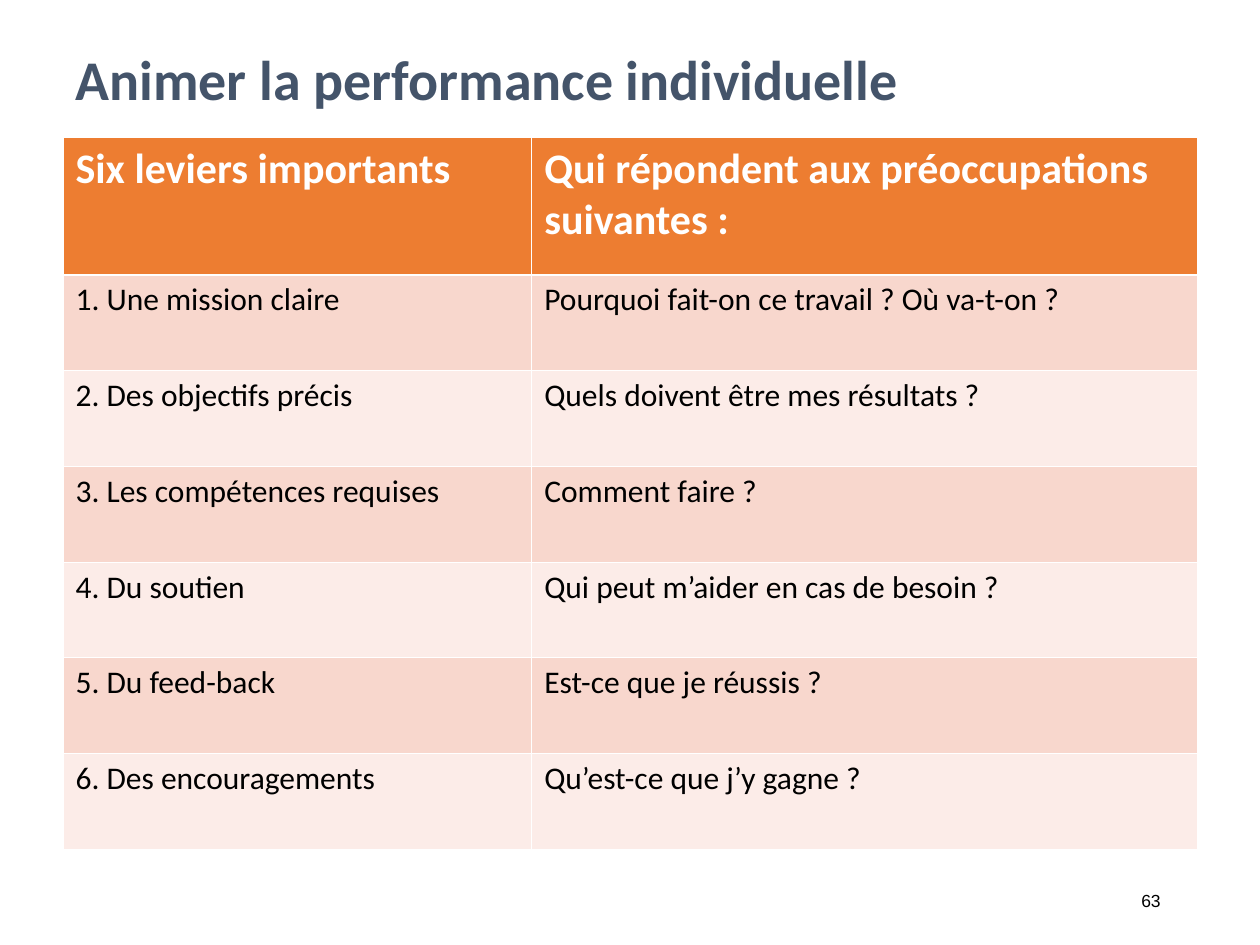
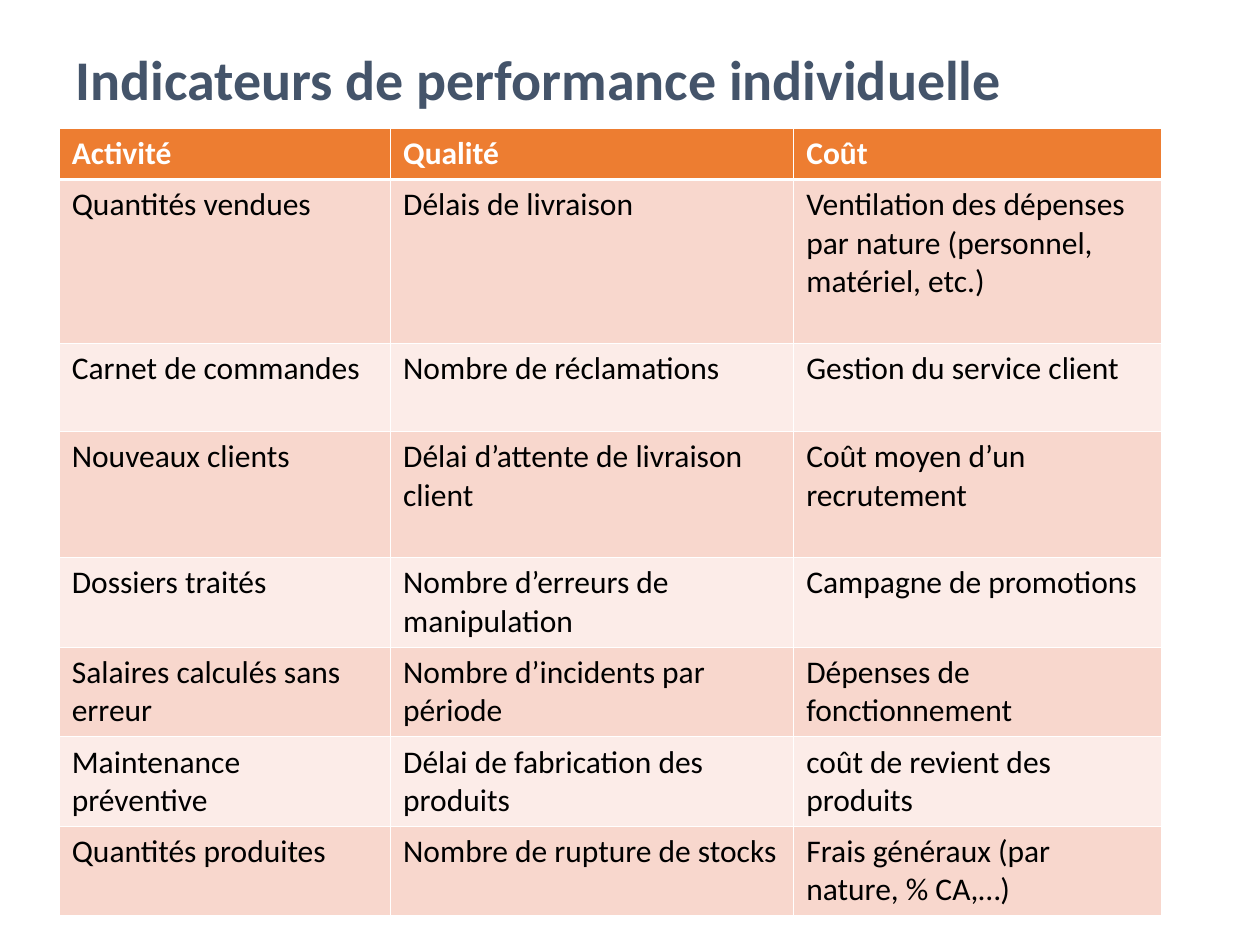
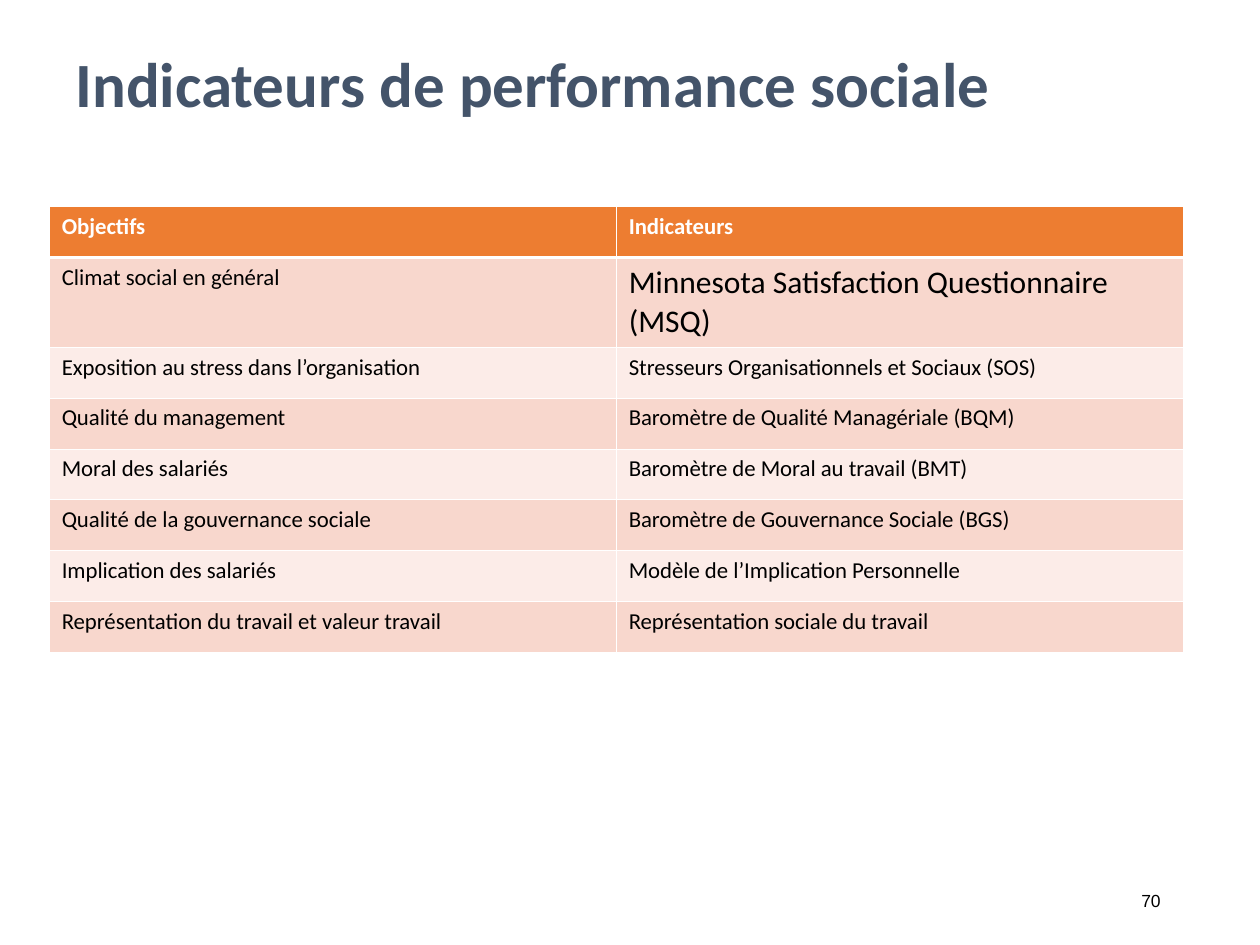
from dataclasses import dataclass

from lxml.etree import SubElement
from pptx import Presentation
from pptx.dml.color import RGBColor as Rgb
from pptx.enum.text import MSO_ANCHOR as Anchor, MSO_AUTO_SIZE as AutoSize, PP_ALIGN as Align
from pptx.oxml.ns import qn
from pptx.util import Inches, Pt


@dataclass(frozen=True)
class Theme:
    font: str = "Calibri"
    number_font: str = "Arial"
    title: str = "44546A"
    header: str = "ED7D31"
    bands: tuple = ("F8D7CD", "FCECE8")
    light: str = "FFFFFF"
    dark: str = "000000"
    number_size: int = 10
    body_size: int = 18
    rule: float = 0.45
    header_rule: float = 1.47


THEME = Theme()
SLIDE_SIZE = (10, 7.5)
TITLE_CORNER = (0.5, 0.3)
TITLE_WIDTH = 9
NUMBER_BOX = (7.06, 6.95, 2.25, 0.4)
TITLE_ONLY = 5

# "box" is left, top, width, height; "fixed_rows" gives the height of some rows,
# and the other rows share what is left of the table's height.
SLIDES = [
    dict(
        title="Animer la performance individuelle", title_size=32, title_height=0.72,
        number="63", box=(0.5, 1.09, 9, 5.65), columns=(3.72, 5.28), fixed_rows={0: 1.09},
        header_size=24, body_size=THEME.body_size,
        rows=[
            ("Six leviers importants", "Qui répondent aux préoccupations suivantes :"),
            ("1. Une mission claire", "Pourquoi fait-on ce travail ? Où va-t-on ?"),
            ("2. Des objectifs précis", "Quels doivent être mes résultats ?"),
            ("3. Les compétences requises", "Comment faire ?"),
            ("4. Du soutien", "Qui peut m’aider en cas de besoin ?"),
            ("5. Du feed-back", "Est-ce que je réussis ?"),
            ("6. Des encouragements", "Qu’est-ce que j’y gagne ?"),
        ],
    ),
    dict(
        title="Indicateurs de performance individuelle", title_size=32, title_height=0.95,
        box=(0.47, 1.02, 8.75, 6.24), columns=(2.63, 3.2, 2.92),
        fixed_rows={0: 0.4, 1: 1.3, 2: 0.7, 3: 1},
        header_size=18, body_size=THEME.body_size,
        rows=[
            ("Activité", "Qualité", "Coût"),
            ("Quantités vendues", "Délais de livraison",
             "Ventilation des dépenses par nature (personnel, matériel, etc.)"),
            ("Carnet de commandes", "Nombre de réclamations", "Gestion du service client"),
            ("Nouveaux clients", "Délai d’attente de livraison client",
             "Coût moyen d’un recrutement"),
            ("Dossiers traités", "Nombre d’erreurs de manipulation", "Campagne de promotions"),
            ("Salaires calculés sans erreur", "Nombre d’incidents par période",
             "Dépenses de fonctionnement"),
            ("Maintenance préventive", "Délai de fabrication des produits",
             "coût de revient des produits"),
            ("Quantités produites", "Nombre de rupture de stocks",
             "Frais généraux (par nature, % CA,…)"),
        ],
    ),
    dict(
        title="Indicateurs de performance sociale", title_size=36, title_height=1.25,
        number="70", box=(0.39, 1.64, 9, 3.54), columns=(1, 1), fixed_rows={1: 0.71},
        header_size=13, body_size=13, larger_cells={(1, 1): 18},
        rows=[
            ("Objectifs", "Indicateurs"),
            ("Climat social en général", "Minnesota Satisfaction Questionnaire (MSQ)"),
            ("Exposition au stress dans l’organisation",
             "Stresseurs Organisationnels et Sociaux (SOS)"),
            ("Qualité du management", "Baromètre de Qualité Managériale (BQM)"),
            ("Moral des salariés", "Baromètre de Moral au travail (BMT)"),
            ("Qualité de la gouvernance sociale", "Baromètre de Gouvernance Sociale (BGS)"),
            ("Implication des salariés", "Modèle de l’Implication Personnelle"),
            ("Représentation du travail et valeur travail", "Représentation sociale du travail"),
        ],
    ),
]


def write(frame, text, size, color, bold=False, font=THEME.font, align=Align.LEFT):
    frame.text = text
    frame.word_wrap = True
    paragraph = frame.paragraphs[0]
    paragraph.alignment = align
    paragraph.font.name = font
    paragraph.font.size = Pt(size)
    paragraph.font.bold = bold
    paragraph.font.color.rgb = Rgb.from_string(color)


def add_title(slide, text, size, height):
    title = slide.shapes.title
    title.left, title.top = map(Inches, TITLE_CORNER)
    title.width, title.height = Inches(TITLE_WIDTH), Inches(height)
    write(title.text_frame, text, size, THEME.title, bold=True)
    title.text_frame.vertical_anchor = Anchor.TOP
    title.text_frame.auto_size = AutoSize.NONE


def add_number(slide, number):
    frame = slide.shapes.add_textbox(*map(Inches, NUMBER_BOX)).text_frame
    write(frame, number, THEME.number_size, THEME.dark, font=THEME.number_font, align=Align.RIGHT)
    frame.vertical_anchor = Anchor.MIDDLE


def set_borders(cell, row):
    """Draw white rules, with a thicker one under the header row."""
    top = THEME.header_rule if row == 1 else THEME.rule
    bottom = THEME.header_rule if row == 0 else THEME.rule
    sides = {"a:lnL": THEME.rule, "a:lnR": THEME.rule, "a:lnT": top, "a:lnB": bottom}
    properties = cell._tc.get_or_add_tcPr()
    for place, (tag, width) in enumerate(sides.items()):
        line = SubElement(properties, qn(tag), w=str(Pt(width)))
        SubElement(SubElement(line, qn("a:solidFill")), qn("a:srgbClr"), val=THEME.light)
        properties.insert(place, line)


def row_heights(count, height, fixed):
    shared = (height - sum(fixed.values())) / (count - len(fixed))
    return [fixed.get(row, shared) for row in range(count)]


def add_grid(slide, content):
    rows, columns, box = content["rows"], content["columns"], content["box"]
    larger = content.get("larger_cells", {})
    table = slide.shapes.add_table(len(rows), len(columns), *map(Inches, box)).table
    for column, weight in zip(table.columns, columns):
        column.width = Inches(box[2] * weight / sum(columns))
    for row, height in zip(table.rows, row_heights(len(rows), box[3], content["fixed_rows"])):
        row.height = Inches(height)

    for r, texts in enumerate(rows):
        is_header = r == 0
        fill = THEME.header if is_header else THEME.bands[(r - 1) % 2]
        color = THEME.light if is_header else THEME.dark
        row_size = content["header_size"] if is_header else content["body_size"]
        for c, text in enumerate(texts):
            cell = table.cell(r, c)
            write(cell.text_frame, text, larger.get((r, c), row_size), color, bold=is_header)
            cell.fill.solid()
            cell.fill.fore_color.rgb = Rgb.from_string(fill)
            set_borders(cell, r)


def main():
    deck = Presentation()
    deck.slide_width, deck.slide_height = map(Inches, SLIDE_SIZE)
    for content in SLIDES:
        slide = deck.slides.add_slide(deck.slide_layouts[TITLE_ONLY])
        add_title(slide, content["title"], content["title_size"], content["title_height"])
        add_grid(slide, content)
        if "number" in content:
            add_number(slide, content["number"])
    deck.save("out.pptx")


if __name__ == "__main__":
    main()
